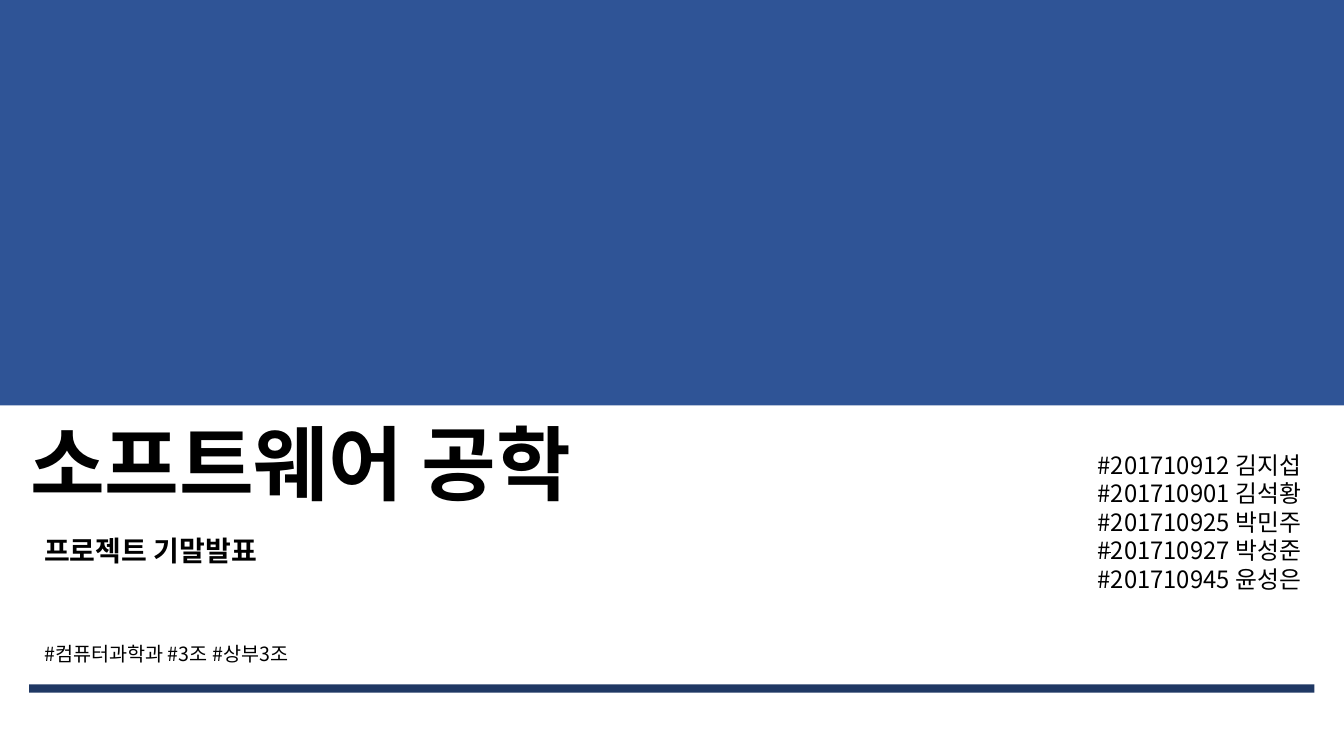
from dataclasses import dataclass

from lxml.etree import SubElement
from pptx import Presentation
from pptx.dml.color import RGBColor
from pptx.enum.shapes import MSO_SHAPE
from pptx.enum.text import MSO_ANCHOR, PP_ALIGN
from pptx.oxml.ns import qn
from pptx.util import Pt


@dataclass(frozen=True)
class Theme:
    font: str = "Noto Sans CJK KR"
    banner: RGBColor = RGBColor(0x2F, 0x54, 0x96)
    rule: RGBColor = RGBColor(0x1F, 0x38, 0x64)
    text: RGBColor = RGBColor(0, 0, 0)
    title_size: int = 58
    subtitle_size: int = 20
    member_size: int = 17
    tag_size: int = 14
    inset: float = 7.2


class SlideBuilder:
    """Adds styled elements to one slide, with lengths in points."""

    def __init__(self, slide, theme):
        self.slide = slide
        self.theme = theme

    def bar(self, left, top, width, height, color):
        shape = self.slide.shapes.add_shape(
            MSO_SHAPE.RECTANGLE, Pt(left), Pt(top), Pt(width), Pt(height))
        shape.shadow.inherit = False
        shape.fill.solid()
        shape.fill.fore_color.rgb = color
        shape.line.fill.background()

    def text(self, left, top, width, height, content, size,
             bold=False, spacing=None, vertical_inset=None):
        theme = self.theme
        shape = self.slide.shapes.add_textbox(
            Pt(left), Pt(top), Pt(width), Pt(height))
        frame = shape.text_frame
        frame.word_wrap = True
        frame.vertical_anchor = MSO_ANCHOR.TOP
        frame.margin_left = frame.margin_right = Pt(theme.inset)
        frame.margin_top = frame.margin_bottom = Pt(vertical_inset or theme.inset)
        frame.text = content
        for paragraph in frame.paragraphs:
            paragraph.alignment = PP_ALIGN.LEFT
            if spacing:
                paragraph.line_spacing = spacing
            for run in paragraph.runs:
                self.format_run(run, size, bold)
        self.set_east_asian_font(shape)
        return shape

    def format_run(self, run, size, bold=False):
        run.font.size = Pt(size)
        run.font.bold = bold
        run.font.color.rgb = self.theme.text
        run.font.name = self.theme.font

    def set_east_asian_font(self, shape):
        for properties in shape.element.iter(qn("a:rPr")):
            if properties.find(qn("a:ea")) is None:
                SubElement(properties, qn("a:ea"), typeface=self.theme.font)

    def strike_first_character(self, shape, paragraph_index, size):
        paragraph = shape.text_frame.paragraphs[paragraph_index]
        content = paragraph.text
        first = paragraph.runs[0]
        first.text = content[0]
        rest = paragraph.add_run()
        rest.text = content[1:]
        self.format_run(rest, size)
        self.set_east_asian_font(shape)
        properties = list(shape.element.iter(qn("a:rPr")))[paragraph_index]
        properties.set("strike", "sngStrike")


def main():
    theme = Theme()
    presentation = Presentation()
    presentation.slide_width = Pt(960)
    presentation.slide_height = Pt(540)
    slide = presentation.slides.add_slide(presentation.slide_layouts[6])
    builder = SlideBuilder(slide, theme)

    builder.bar(0, 0, 960, 289.5, theme.banner)
    builder.text(14.4, 299.5, 523.4, 102.2, "소프트웨어 공학", theme.title_size,
                 bold=True, spacing=0.9, vertical_inset=3.6)
    builder.text(24.5, 373.7, 446.4, 38.9, "프로젝트 기말발표",
                 theme.subtitle_size, bold=True)

    members = (
        "#201710912 김지섭",
        "#201710901 김석황",
        "#201710925 박민주",
        "#201710927 박성준",
        "#201710945 윤성은",
    )
    member_list = builder.text(776.9, 314.6, 169.2, 117.4,
                               "\n".join(members), theme.member_size)
    builder.strike_first_character(member_list, 3, theme.member_size)

    builder.bar(20.9, 488.9, 918, 5.8, theme.rule)
    builder.text(24.5, 451.4, 648, 31.7, "#컴퓨터과학과 #3조 #상부3조",
                 theme.tag_size)

    presentation.save("out.pptx")


if __name__ == "__main__":
    main()
